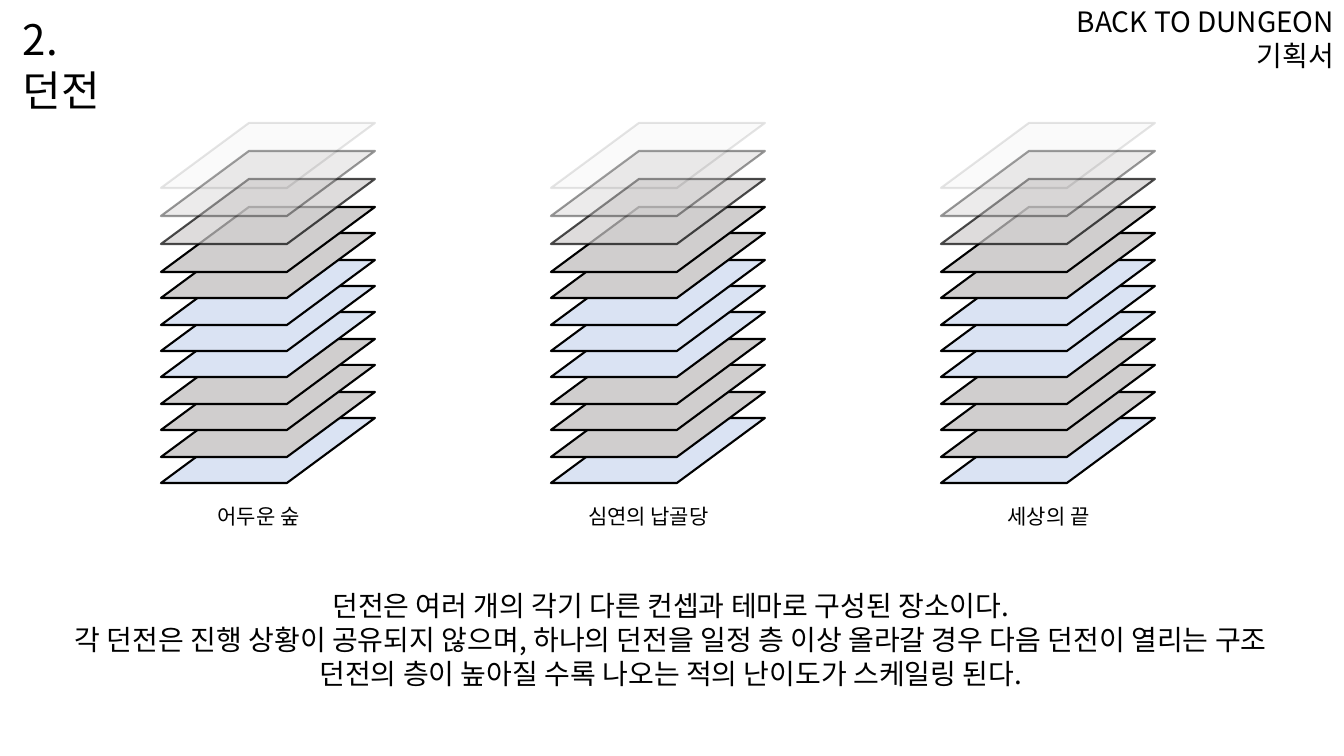
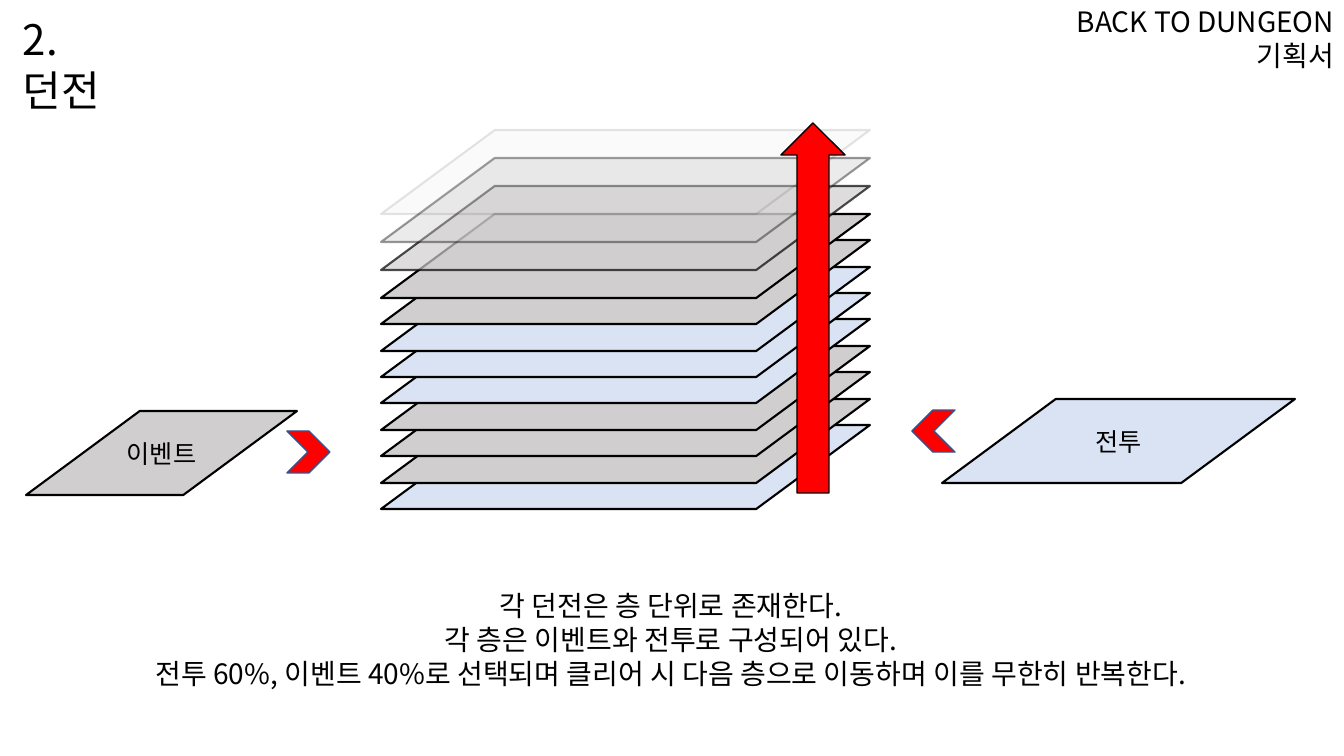
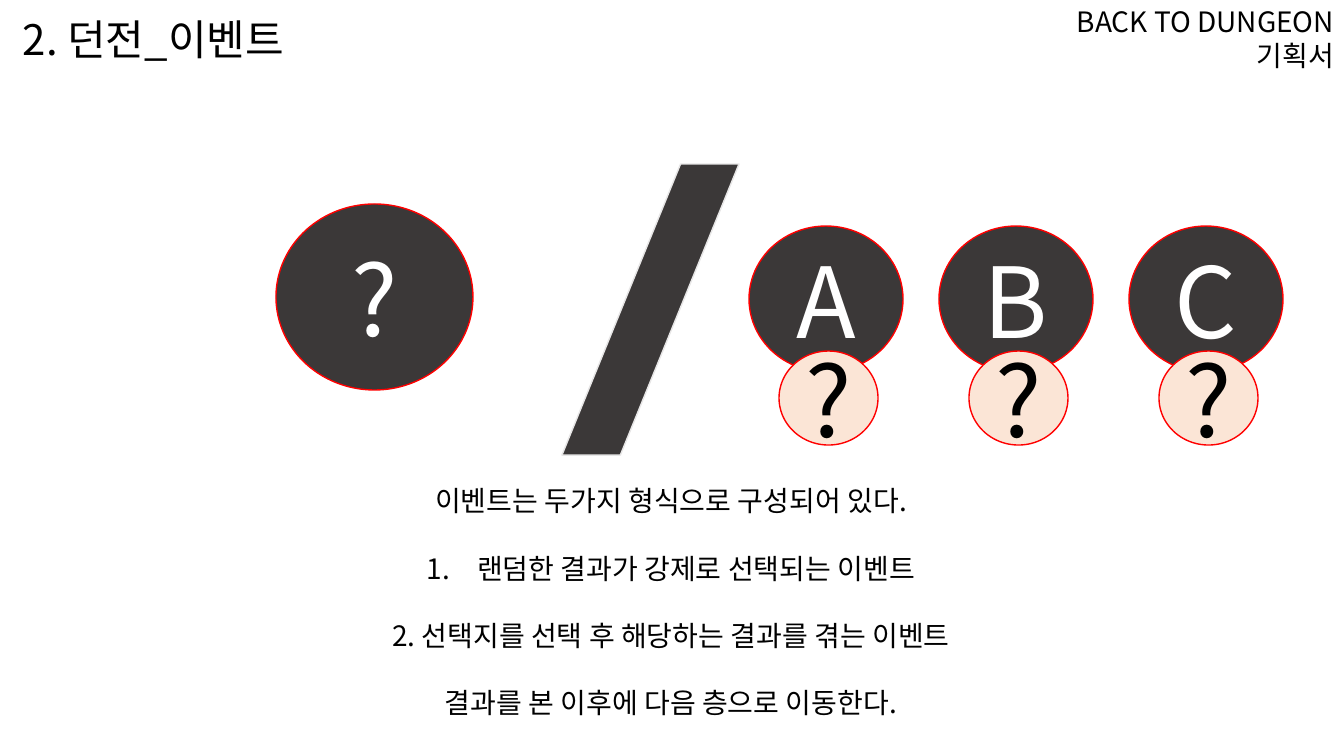
from pptx import Presentation
from pptx.dml.color import RGBColor
from pptx.enum.shapes import MSO_SHAPE
from pptx.enum.text import MSO_ANCHOR, PP_ALIGN
from pptx.oxml.ns import qn
from pptx.oxml.xmlchemy import OxmlElement
from pptx.util import Emu, Pt

SCALE = 914400 / 100.8  # EMU in one px
FONT = "Noto Sans CJK KR"
COLORS = {
    "ink": "000000",
    "white": "FFFFFF",
    "battle": "DAE3F3",
    "event": "D0CECE",
    "dark": "3B3838",
    "peach": "FBE5D6",
    "red": "FF0000",
    "navy": "325491",
    "light": "E7E6E6",
}
SKEW = 1.354
FLOOR_STEP = 26.4
FADED_STEP = 28
FLOORS = ["battle"] + ["event"] * 3 + ["battle"] * 3 + ["event"] * 2
FADED_FLOORS = [70, 40, 10]  # opacity in percent, going up


def px(length):
    return Emu(round(length * SCALE))


def rgb(name):
    return RGBColor.from_string(COLORS[name])


def write(paragraph, text, size=20, color="ink", align=PP_ALIGN.CENTER,
          leading=None, before=0, number=False):
    """Write one formatted line of text; number makes it a numbered item."""
    paragraph.alignment = align
    paragraph.space_before = Pt(before)
    if leading:
        paragraph.line_spacing = Pt(leading)
    run = paragraph.add_run()
    run.text = text
    run.font.size = Pt(size)
    run.font.name = FONT
    run.font.color.rgb = rgb(color)
    east_asian = OxmlElement("a:ea")
    east_asian.set("typeface", FONT)
    run.font._element.find(qn("a:latin")).addnext(east_asian)
    if number:
        properties = paragraph._p.get_or_add_pPr()
        properties.set("marL", "457200")
        properties.set("indent", "-457200")
        bullet = OxmlElement("a:buAutoNum")
        bullet.set("type", "arabicPeriod")
        properties.append(bullet)


class Deck:
    def __init__(self):
        self.presentation = Presentation()
        self.presentation.slide_width = px(1344)
        self.presentation.slide_height = px(756)
        self.slide = None

    def new_slide(self, title, title_width):
        layout = self.presentation.slide_layouts[6]
        self.slide = self.presentation.slides.add_slide(layout)
        self.text(1037, 0, 307, 78, ["BACK TO DUNGEON", "기획서"],
                  align=PP_ALIGN.RIGHT, leading=24)
        self.text(13, 9, title_width, 61, [title], size=30,
                  align=PP_ALIGN.LEFT, leading=36)

    def text(self, x, y, width, height, lines, numbered=(), gap=0, **style):
        box = self.slide.shapes.add_textbox(px(x), px(y), px(width), px(height))
        frame = box.text_frame
        frame.word_wrap = True
        for index, line in enumerate(lines):
            paragraph = frame.add_paragraph() if index else frame.paragraphs[0]
            write(paragraph, line, before=gap if index else 0,
                  number=index in numbered, **style)

    def body(self, y, width, height, lines, **style):
        self.text(671 - width // 2, y, width, height, lines, leading=24, **style)

    def shape(self, kind, x, y, width, height, fill, line="ink", weight=1,
              skew=None, opacity=100, text="", **style):
        shape = self.slide.shapes.add_shape(kind, px(x), px(y), px(width), px(height))
        shape.shadow.inherit = False
        shape.fill.solid()
        shape.fill.fore_color.rgb = rgb(fill)
        shape.line.color.rgb = rgb(line)
        shape.line.width = Pt(weight)
        if skew:
            shape.adjustments[0] = skew
        if opacity < 100:
            for color in list(shape._element.spPr.iter(qn("a:srgbClr"))):
                alpha = OxmlElement("a:alpha")
                alpha.set("val", str(opacity * 1000))
                color.append(alpha)
        if text:
            shape.text_frame.vertical_anchor = MSO_ANCHOR.MIDDLE
            write(shape.text_frame.paragraphs[0], text, **style)
        return shape

    def floor(self, x, y, width, height, fill, **style):
        self.shape(MSO_SHAPE.PARALLELOGRAM, x, y, width, height, fill,
                   weight=1.5, skew=SKEW, **style)

    def tower(self, x, bottom, width, height):
        """Stack the floors upwards from the top edge of the lowest one."""
        for level, fill in enumerate(FLOORS):
            y = round(bottom - level * FLOOR_STEP)
            self.floor(x, y, width, height, fill)
        for level, opacity in enumerate(FADED_FLOORS, 1):
            self.floor(x, y - level * FADED_STEP, width, height, "event",
                       opacity=opacity)

    def circle(self, x, y, width, height, text, fill="dark", color="white"):
        self.shape(MSO_SHAPE.OVAL, x, y, width, height, fill, line="red",
                   text=text, size=70, color=color)


def dungeon_slide(deck):
    deck.new_slide("2. 던전", 140)
    deck.body(584, 1294, 112, [
        "던전은 여러 개의 각기 다른 컨셉과 테마로 구성된 장소이다.",
        "각 던전은 진행 상황이 공유되지 않으며, 하나의 던전을 일정 층 이상 올라갈 경우 다음 던전이 열리는 구조",
        "던전의 층이 높아질 수록 나오는 적의 난이도가 스케일링 된다.",
    ])
    # Towers with their names
    names = [("어두운 숲", 205, 107), ("심연의 납골당", 575, 147), ("세상의 끝", 995, 107)]
    for index, (name, x, width) in enumerate(names):
        deck.tower(161 + index * 390, 418, 214, 65)
        deck.text(x, 499, width, 35, [name], size=15, leading=18)


def floors_slide(deck):
    deck.new_slide("2. 던전", 140)
    deck.body(584, 1114, 112, [
        "각 던전은 층 단위로 존재한다.",
        "각 층은 이벤트와 전투로 구성되어 있다.",
        "전투 60%, 이벤트 40%로 선택되며 클리어 시 다음 층으로 이동하며 이를 무한히 반복한다.",
    ])
    deck.tower(381, 425, 489, 84)
    # Floor types on both sides
    deck.floor(942, 399, 353, 84, "battle", text="전투", size=18)
    deck.floor(26, 411, 271, 84, "event", text="이벤트", size=18)
    for x, y, rotation in [(912, 410, 180), (287, 431, 0)]:
        chevron = deck.shape(MSO_SHAPE.CHEVRON, x, y, 43, 42, "red", line="navy")
        chevron.rotation = rotation
    # Climbing direction
    deck.shape(MSO_SHAPE.UP_ARROW, 781, 123, 64, 370, "red")


def events_slide(deck):
    deck.new_slide("2. 던전_이벤트", 284)
    deck.body(479, 614, 248, [
        "이벤트는 두가지 형식으로 구성되어 있다.",
        "랜덤한 결과가 강제로 선택되는 이벤트",
        "2. 선택지를 선택 후 해당하는 결과를 겪는 이벤트",
        "결과를 본 이후에 다음 층으로 이동한다.",
    ], numbered=[1], gap=24)
    # Forced random result, then the divider
    deck.circle(276, 204, 197, 186, "?")
    deck.shape(MSO_SHAPE.PARALLELOGRAM, 562, 164, 177, 291, "dark",
               line="light", skew=0.67)
    # Choices, each with its hidden result
    for index, choice in enumerate("ABC"):
        deck.circle(749 + index * 190, 226, 154, 146, choice)
        deck.circle(779 + index * 190, 351, 99, 94, "?", fill="peach", color="ink")


def main():
    deck = Deck()
    dungeon_slide(deck)
    floors_slide(deck)
    events_slide(deck)
    deck.presentation.save("out.pptx")


if __name__ == "__main__":
    main()
